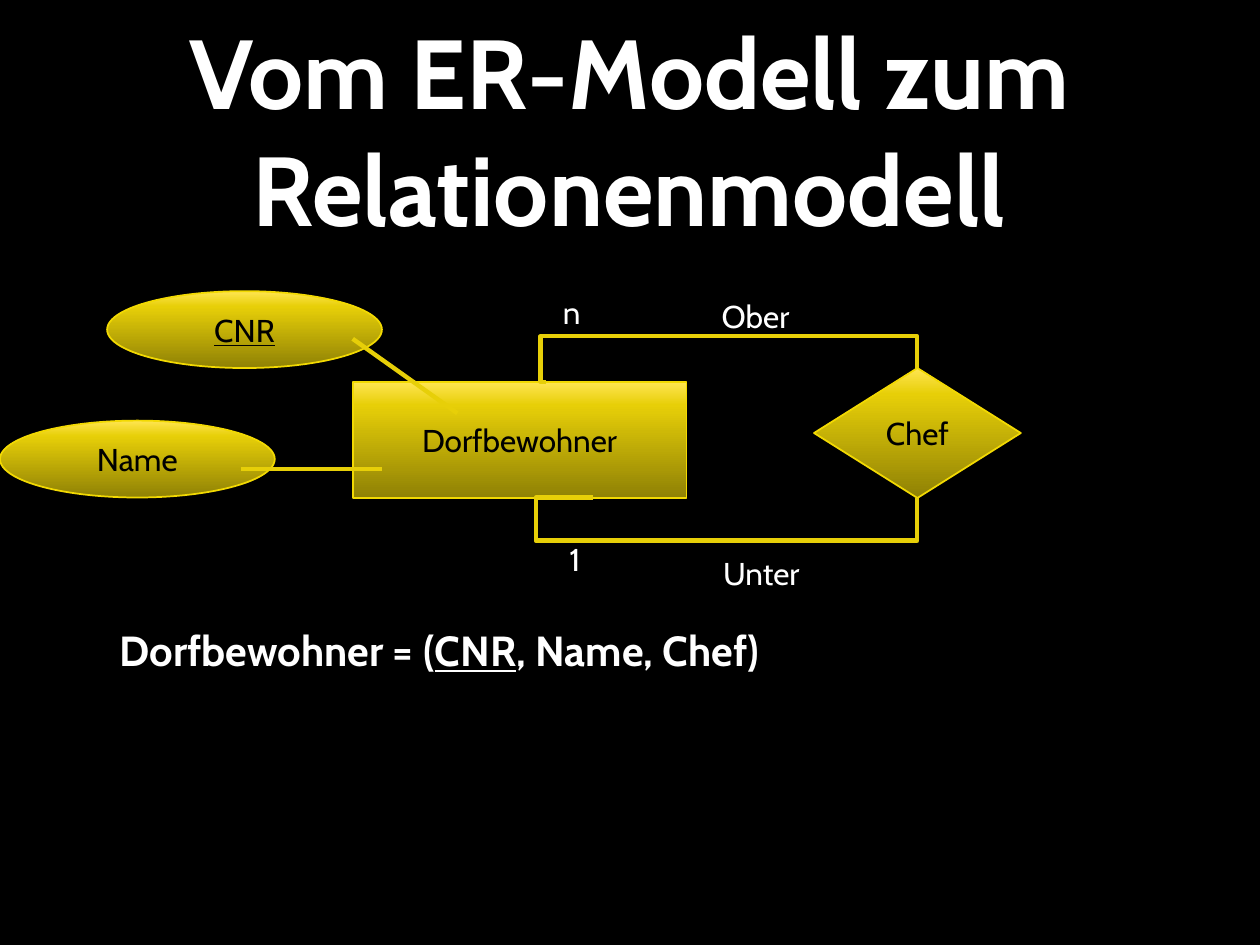
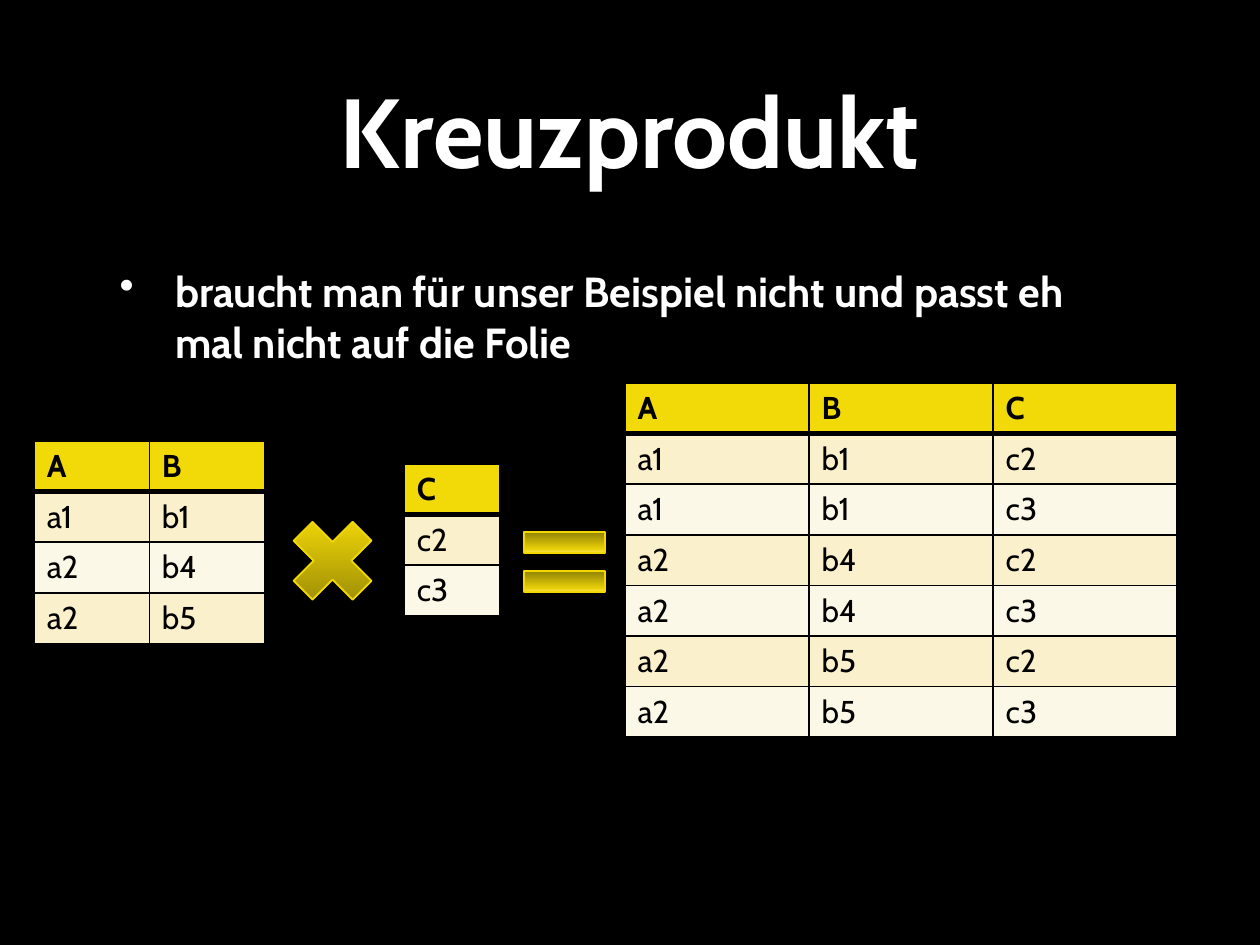
from dataclasses import dataclass

from lxml import etree
from pptx import Presentation
from pptx.dml.color import RGBColor
from pptx.enum.shapes import MSO_CONNECTOR, MSO_SHAPE
from pptx.enum.text import MSO_ANCHOR, PP_ALIGN
from pptx.oxml import parse_xml
from pptx.oxml.ns import nsdecls, qn
from pptx.util import Cm, Pt

RECT, OVAL, RHOMB = MSO_SHAPE.RECTANGLE, MSO_SHAPE.OVAL, MSO_SHAPE.DIAMOND
TIMES, LINE = MSO_SHAPE.MATH_MULTIPLY, MSO_CONNECTOR.STRAIGHT
LEFT, CENTER = PP_ALIGN.LEFT, PP_ALIGN.CENTER
TOP, MIDDLE = MSO_ANCHOR.TOP, MSO_ANCHOR.MIDDLE


@dataclass(frozen=True)
class Theme:
    font: str = "Cabin"
    back: str = "000000"
    light: str = "FFFFFF"
    dark: str = "000000"
    edge: str = "F2D902"
    wire: str = "E7CF08"
    head: str = "F2D908"
    bands: tuple = ("FAF1CC", "FCF8E7")
    shine: tuple = ((0, "8F8105"), (80, "E7CF08"), (100, "FFE552"))
    title: int = 56
    body: int = 24
    label: int = 18
    thick: float = 2.5
    row: float = 1.02


THEME = Theme()
HEAD = (2.16, 0.3, 21.06, 4.6)


def color(code):
    return RGBColor.from_string(code)


def place(box, x, y):
    """Turn an offset inside a box into slide lengths."""
    return Cm(box[0] + x), Cm(box[1] + y)


# Text
def write(frame, text, size=THEME.label, ink=THEME.light, bold=False,
          align=LEFT, anchor=TOP, wrap=True, under="", before=0,
          hang=0, bullet=""):
    """Fill a frame; the part of the text equal to under is underlined."""
    frame.word_wrap = wrap
    frame.vertical_anchor = anchor
    para = frame.paragraphs[0]
    para.alignment = align
    if before:
        para.space_before = Pt(before)
    props = para._p.get_or_add_pPr()
    if hang:
        props.set("marL", str(Cm(hang)))
        props.set("indent", str(-Cm(hang)))
    if bullet:
        etree.SubElement(props, qn("a:buChar")).set("char", bullet)
    first, mark, last = text.partition(under) if under else (text, "", "")
    for part in filter(None, (first, mark, last)):
        run = para.add_run()
        run.text = part
        font = run.font
        font.name, font.size, font.bold = THEME.font, Pt(size), bold
        font.color.rgb = color(ink)
        if part == mark:
            font.underline = True


def note(slide, box, text, **form):
    area = slide.shapes.add_textbox(*map(Cm, box))
    write(area.text_frame, text, **form)


def title(slide, text):
    note(slide, HEAD, text, size=THEME.title, bold=True,
         align=CENTER, anchor=MIDDLE)


def body(slide, box, text, **form):
    note(slide, box, text, size=THEME.body, bold=True, before=20,
         hang=1.12, **form)


# Shapes and lines
def gold(slide, kind, spot, size, text="", flip=False, under=""):
    """Add a shape with the shiny golden fill."""
    shape = slide.shapes.add_shape(kind, *spot, *map(Cm, size))
    shape.shadow.inherit = False
    shape.line.color.rgb = color(THEME.edge)
    shape.line.width = Pt(1)
    stops = "".join(
        f'<a:gs pos="{at * 1000}"><a:srgbClr val="{code}"/></a:gs>'
        for at, code in THEME.shine)
    fill = parse_xml(
        f'<a:gradFill {nsdecls("a")} rotWithShape="1"><a:gsLst>{stops}'
        '</a:gsLst><a:lin ang="16200000" scaled="0"/></a:gradFill>')
    props = shape._element.spPr
    props.find(qn("a:prstGeom")).addnext(fill)
    if flip:
        props.find(qn("a:xfrm")).set("flipV", "1")
    if text:
        write(shape.text_frame, text, ink=THEME.dark, align=CENTER,
              anchor=MIDDLE, under=under)


def ink_line(line):
    line.color.rgb = color(THEME.wire)
    line.width = Pt(THEME.thick)


def link(slide, start, end):
    wire = slide.shapes.add_connector(LINE, *start, *end)
    etree.SubElement(wire._element.spPr, qn("a:effectLst"))
    ink_line(wire.line)


def bend(slide, points):
    """Draw one open line with corners."""
    path = slide.shapes.build_freeform(*points[0])
    path.add_line_segments(points[1:], close=False)
    wire = path.convert_to_shape()
    wire.shadow.inherit = False
    wire.fill.background()
    ink_line(wire.line)


# Tables
def border(cell, side, width):
    line = parse_xml(
        f'<a:{side} {nsdecls("a")} w="{Pt(width)}"><a:solidFill>'
        f'<a:srgbClr val="{THEME.dark}"/></a:solidFill></a:{side}>')
    return line


def grid(slide, spot, wide, rows):
    """Add a table with a golden head and striped rows."""
    count = len(rows[0])
    table = slide.shapes.add_table(
        len(rows), count, *spot, Cm(wide * count),
        Cm(THEME.row * len(rows))).table
    for col in table.columns:
        col.width = Cm(wide)
    for i, row in enumerate(rows):
        table.rows[i].height = Cm(THEME.row)
        shade = THEME.bands[(i - 1) % 2] if i else THEME.head
        sides = {"lnL": 1, "lnR": 1, "lnT": 3 if i == 1 else 1,
                 "lnB": 1 if i else 3}
        for j, text in enumerate(row):
            cell = table.cell(i, j)
            cell.fill.solid()
            cell.fill.fore_color.rgb = color(shade)
            props = cell._tc.get_or_add_tcPr()
            for k, (side, width) in enumerate(sides.items()):
                props.insert(k, border(cell, side, width))
            write(cell.text_frame, text, ink=THEME.dark, bold=i == 0)


# Regions
def village(slide, box):
    """Entity with its attributes and a relation to itself."""
    oval = (5.54, 1.55)
    gold(slide, RHOMB, place(box, 16.41, 1.63), (4.17, 2.62), "Chef")
    gold(slide, RECT, place(box, 7.11, 1.91), (6.73, 2.34), "Dorfbewohner")
    gold(slide, OVAL, place(box, 2.16, 0.08), oval, "CNR", under="CNR")
    gold(slide, OVAL, place(box, 0, 2.69), oval, "Name")

    # Attribute links
    link(slide, place(box, 7.11, 1.04), place(box, 9.22, 2.54))
    link(slide, place(box, 4.85, 3.66), place(box, 7.7, 3.66))

    # Both roles of the relation
    roles = (
        ((11.96, 4.24), (10.8, 4.24), (10.8, 5.11), (18.49, 5.11),
         (18.49, 4.24)),
        ((11, 1.91), (10.9, 1.91), (10.9, 0.99), (18.49, 0.99),
         (18.49, 1.63)),
    )
    for role in roles:
        bend(slide, [place(box, *point) for point in role])
    for text, x, y, wide in (("1", 11.23, 4.98, 0.74), ("n", 11.1, 0, 0.86),
                             ("Ober", 14.3, 0.08, 1.88),
                             ("Unter", 14.33, 5.26, 2.08)):
        note(slide, (box[0] + x, box[1] + y, wide, 1.02), text, wrap=False)


def product(slide, box):
    """Two tables, their signs and the combined table."""
    pairs = [("a1", "b1"), ("a2", "b4"), ("a2", "b5")]
    ends = [("c2",), ("c3",)]
    full = [pair + end for pair in pairs for end in ends]
    grid(slide, place(box, 0, 1.17), 2.32, [("A", "B")] + pairs)
    grid(slide, place(box, 7.46, 1.63), 1.93, [("C",)] + ends)
    grid(slide, place(box, 11.91, 0), 3.71, [("A", "B", "C")] + full)

    # Times and equals signs
    gold(slide, TIMES, place(box, 4.87, 2.44), (2.29, 2.29))
    for i in range(2):
        gold(slide, RECT, place(box, 9.88, 3 + 0.79 * i), (1.63, 0.43),
             flip=True)


# Slides
def page(deck, text):
    slide = deck.slides.add_slide(deck.slide_layouts[6])
    slide.background.fill.solid()
    slide.background.fill.fore_color.rgb = color(THEME.back)
    title(slide, text)
    return slide


def main():
    deck = Presentation()
    deck.slide_width, deck.slide_height = Cm(25.4), Cm(19.05)

    model = page(deck, "Vom ER-Modell zum Relationenmodell")
    body(model, (2.16, 12.47, 21.06, 3.76),
         "Dorfbewohner = (CNR, Name, Chef)", under="CNR")
    village(model, (0, 5.79))

    cross = page(deck, "Kreuzprodukt")
    body(cross, (2.16, 5.23, 21.06, 10.97),
         "braucht man für unser Beispiel nicht und passt eh mal nicht "
         "auf die Folie", bullet="•")
    product(cross, (0.69, 7.72))

    deck.save("out.pptx")


if __name__ == "__main__":
    main()
